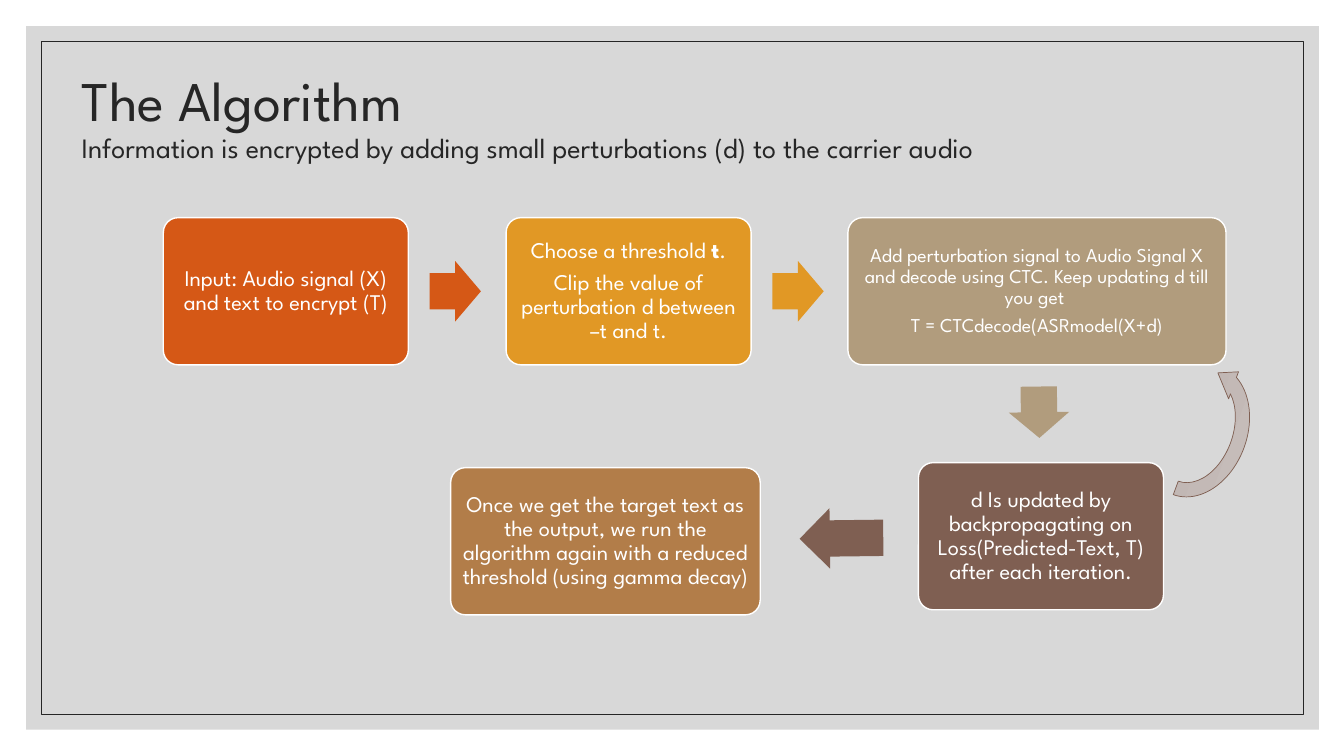
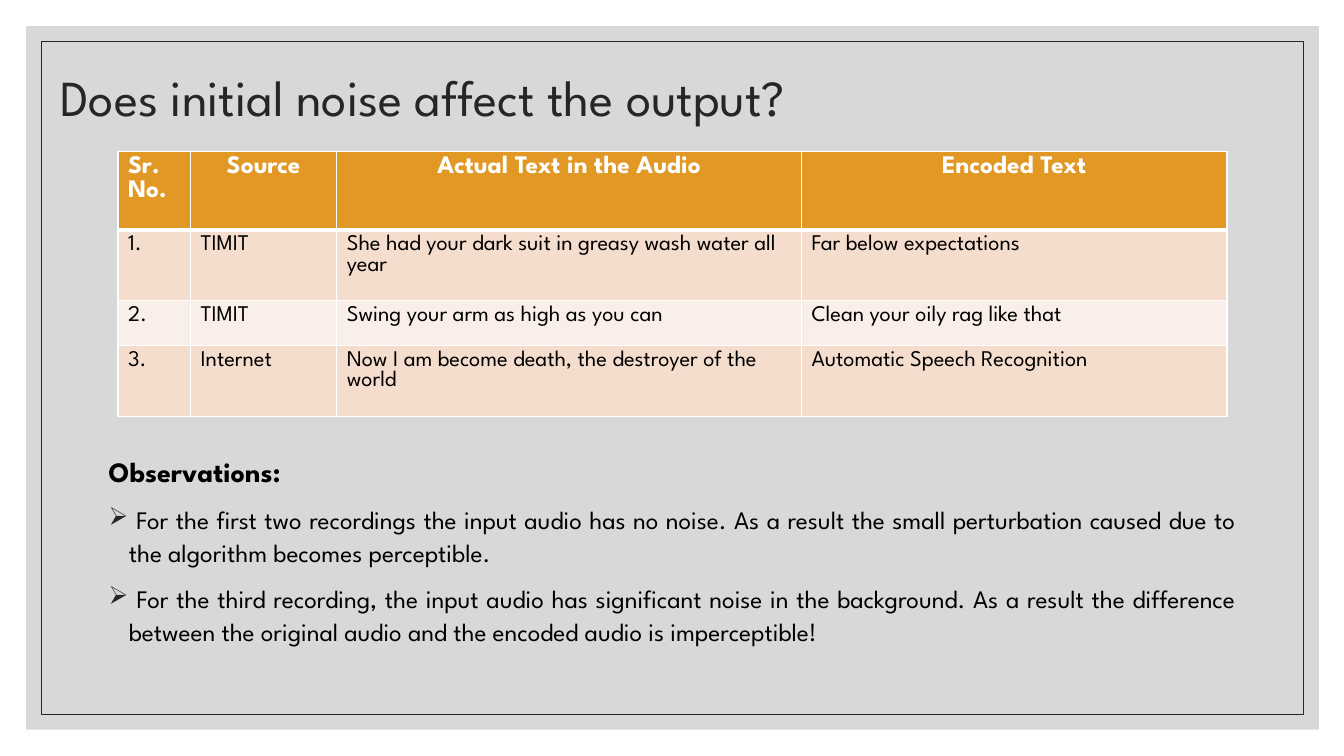
from lxml.etree import SubElement
from pptx import Presentation
from pptx.dml.color import RGBColor
from pptx.enum.shapes import MSO_SHAPE
from pptx.enum.text import MSO_ANCHOR, MSO_AUTO_SIZE, PP_ALIGN
from pptx.oxml import parse_xml
from pptx.oxml.ns import nsdecls, qn
from pptx.util import Emu, Pt

HUES = {
    "white": "FFFFFF", "black": "000000", "ink": "262626", "grey": "BFBFBF",
    "red": "D55816", "gold": "E19825", "sand": "B19C7D", "brown": "7F5F52",
    "tan": "B27D49", "peach": "F4DDCD", "cream": "F9EFE8",
    "light": "C9C0BD", "dusk": "B9AEAB",
}


def px(*sizes):
    """Turn px into EMU, at 100 px to the inch."""
    return [Emu(size * 9144) for size in sizes]


def hue(name):
    """Return the named colour."""
    return RGBColor.from_string(HUES[name])


class Deck:
    """Holds the style and the current slide."""

    font = "League Spartan"

    def __init__(self):
        """Set the page size and frame the master."""
        self.prs = Presentation()
        self.prs.slide_width, self.prs.slide_height = px(1333, 750)
        self.page = None

    def frame(self):
        """Move the grey band and its thin border to the master."""
        band = self.shape(MSO_SHAPE.RECTANGLE, (26, 26, 1282, 698), "grey")
        tint = band.element.spPr.find(".//" + qn("a:srgbClr"))
        SubElement(tint, qn("a:alpha"), val="60000")
        edge = self.shape(MSO_SHAPE.RECTANGLE, (41, 41, 1252, 668), None, "ink", 0.5)
        tree = self.prs.slide_master.shapes.element
        for rank, part in enumerate((band, edge)):
            part.element.nvSpPr.cNvPr.id = 100 + rank
            tree.insert(2 + rank, part.element)

    def slide(self, left, top, lines):
        """Start a slide with a title of (text, size) lines."""
        self.page = self.prs.slides.add_slide(self.prs.slide_layouts[5])
        title = self.page.shapes.title
        title.left, title.top, title.width, title.height = px(left, top, 1100, 150)
        frame = title.text_frame
        frame.word_wrap = True
        frame.auto_size = MSO_AUTO_SIZE.NONE
        frame.vertical_anchor = MSO_ANCHOR.MIDDLE
        par = frame.paragraphs[0]
        par.alignment, par.line_spacing = PP_ALIGN.LEFT, 0.9
        for rank, (text, size) in enumerate(lines):
            if rank:
                par.add_line_break()
            self.run(par, text, size, "ink")

    def run(self, par, text, size, tone, bold=False):
        """Add one run of text."""
        run = par.add_run()
        run.text = text
        font = run.font
        font.name, font.size, font.bold = self.font, Pt(size), bold
        font.color.rgb = hue(tone)

    def shape(self, kind, spot, fill, line=None, width=1):
        """Add a flat preset shape."""
        shape = self.page.shapes.add_shape(kind, *px(*spot))
        shape.shadow.inherit = False
        if fill:
            shape.fill.solid()
            shape.fill.fore_color.rgb = hue(fill)
        else:
            shape.fill.background()
        if line:
            shape.line.color.rgb = hue(line)
            shape.line.width = Pt(width)
        else:
            shape.line.fill.background()
        return shape

    def box(self, spot, fill, pars, size=16, pad=7):
        """Add a rounded step holding paragraphs of (text, bold) runs."""
        box = self.shape(MSO_SHAPE.ROUNDED_RECTANGLE, spot, fill, "white")
        box.adjustments[0] = 0.1
        frame = box.text_frame
        frame.word_wrap = True
        frame.vertical_anchor = MSO_ANCHOR.MIDDLE
        frame.margin_left = frame.margin_right = px(pad)[0]
        frame.margin_top = frame.margin_bottom = px(pad)[0]
        for rank, runs in enumerate(pars):
            par = frame.add_paragraph() if rank else frame.paragraphs[0]
            par.alignment, par.line_spacing = PP_ALIGN.CENTER, 0.9
            par.space_after = Pt(round(size * 0.35, 1))
            for text, bold in runs:
                self.run(par, text, size, "white", bold)

    def arrow(self, spot, fill, turn=0):
        """Add a block arrow."""
        arrow = self.shape(MSO_SHAPE.RIGHT_ARROW, spot, fill)
        arrow.adjustments[0], arrow.adjustments[1] = 0.6, 0.5
        arrow.rotation = turn

    def loop(self, spot, turn):
        """Add a flipped round arrow with a soft fade."""
        loop = self.shape(MSO_SHAPE.CIRCULAR_ARROW, spot, "light", "brown", 0.5)
        loop.rotation = turn
        loop.element.spPr.get_or_add_xfrm().set("flipV", "1")
        loop.fill.gradient()
        loop.fill.gradient_angle = 270
        for stop, tone in zip(loop.fill.gradient_stops, ("light", "dusk")):
            stop.color.rgb = hue(tone)

    def cell(self, cell, fill, sides):
        """Fill a cell and draw its left, right, top and bottom edges."""
        cell.fill.solid()
        cell.fill.fore_color.rgb = hue(fill)
        props = cell._tc.get_or_add_tcPr()
        for rank, (side, width) in enumerate(zip("LRTB", sides)):
            props.insert(rank, parse_xml(
                f'<a:ln{side} {nsdecls("a")} w="{Pt(width)}"><a:solidFill>'
                f'<a:srgbClr val="{HUES["white"]}"/></a:solidFill></a:ln{side}>'))

    def table(self, spot, cols, highs, rows):
        """Add a table with a gold head and banded rows."""
        grid = self.page.shapes.add_table(len(rows), len(cols), *px(*spot)).table
        for col, width in zip(grid.columns, px(*cols)):
            col.width = width
        for row, high in zip(grid.rows, px(*highs)):
            row.height = high
        for y, texts in enumerate(rows):
            head = y == 0
            fill = "gold" if head else ("cream", "peach")[y % 2]
            sides = (1, 1, 3 if y == 1 else 1, 3 if head else 1)
            for x, text in enumerate(texts):
                cell = grid.cell(y, x)
                self.cell(cell, fill, sides)
                par = cell.text_frame.paragraphs[0]
                par.alignment = PP_ALIGN.CENTER if head and x else PP_ALIGN.LEFT
                self.run(par, text, 18 if head else 16,
                         "white" if head else "black", head)

    def notes(self, spot, head, items):
        """Add a bold heading over a justified bullet list."""
        frame = self.page.shapes.add_textbox(*px(*spot)).text_frame
        frame.word_wrap = True
        for rank, text in enumerate([head, *items]):
            par = frame.add_paragraph() if rank else frame.paragraphs[0]
            par.alignment, par.line_spacing = PP_ALIGN.JUSTIFY, 1.1
            par.space_before = Pt(9)
            self.run(par, text, 18 if rank else 20, "black", not rank)
            if rank:
                self.mark(par)

    def mark(self, par):
        """Give a paragraph a hanging arrow bullet."""
        props = par._p.get_or_add_pPr()
        dent = px(20)[0]
        props.set("marL", str(dent))
        props.set("indent", str(-dent))
        tone = SubElement(props, qn("a:buClr"))
        SubElement(tone, qn("a:srgbClr"), val=HUES["ink"])
        SubElement(props, qn("a:buChar"), char="➢")


def main():
    """Build and save both slides."""
    deck = Deck()
    deck.slide(71, 43, [
        ("The Algorithm", 40),
        ("Information is encrypted by adding small perturbations (d) to the carrier audio", 20),
    ])
    deck.frame()
    left, step, top, wide, high = 162, 340, 216, 243, 146
    deck.box((left, top, wide, high), "red",
             [[("Input: Audio signal (X) and text to encrypt (T)", False)]])
    deck.box((left + step, top, wide, high), "gold", [
        [("Choose a threshold ", False), ("t", True), (".", False)],
        [("Clip the value of perturbation d between –t and t.", False)],
    ])
    deck.box((left + 2 * step - 1, top, 375, high), "sand", [
        [("Add perturbation signal to Audio Signal X and decode using CTC. "
          "Keep updating d till you get ", False)],
        [("T = CTCdecode(ASRmodel(X+d)", False)],
    ], 14, 6)
    deck.box((911, 459, wide, high), "brown", [
        [("d Is updated by backpropagating on Loss(Predicted-Text, T) "
          "after each iteration.", False)]])
    deck.box((447, 464, 307, high), "tan", [
        [("Once we get the target text as the output, we run the algorithm "
          "again with a reduced threshold (using gamma decay)", False)]])
    for rank, tone in enumerate(("red", "gold")):
        deck.arrow((426 + rank * step, 259, 51, 60), tone)
    deck.arrow((1005, 379, 51, 60), "sand", 89.2)
    deck.arrow((793, 504, 83, 60), "brown", 179.3)
    deck.loop((1112, 370, 150, 114), 290.1)

    deck.slide(50, 24, [("Does initial noise affect the output?", 36)])
    deck.table((117, 150, 1100, 263), (72, 145, 461, 422), (78, 70, 45, 70), [
        ("Sr. No.", "Source", "Actual Text in the Audio", "Encoded Text"),
        ("1.", "TIMIT", "She had your dark suit in greasy wash water all year",
         "Far below expectations"),
        ("2.", "TIMIT", "Swing your arm as high as you can",
         "Clean your oily rag like that"),
        ("3.", "Internet", "Now I am become death, the destroyer of the world",
         "Automatic Speech Recognition"),
    ])
    deck.notes((98, 443, 1138, 264), "Observations:", [
        " For the first two recordings the input audio has no noise. As a result "
        "the small perturbation caused due to the algorithm becomes perceptible.",
        " For the third recording, the input audio has significant noise in the "
        "background. As a result the difference between the original audio and "
        "the encoded audio is imperceptible!",
    ])
    deck.prs.save("out.pptx")


if __name__ == "__main__":
    main()
